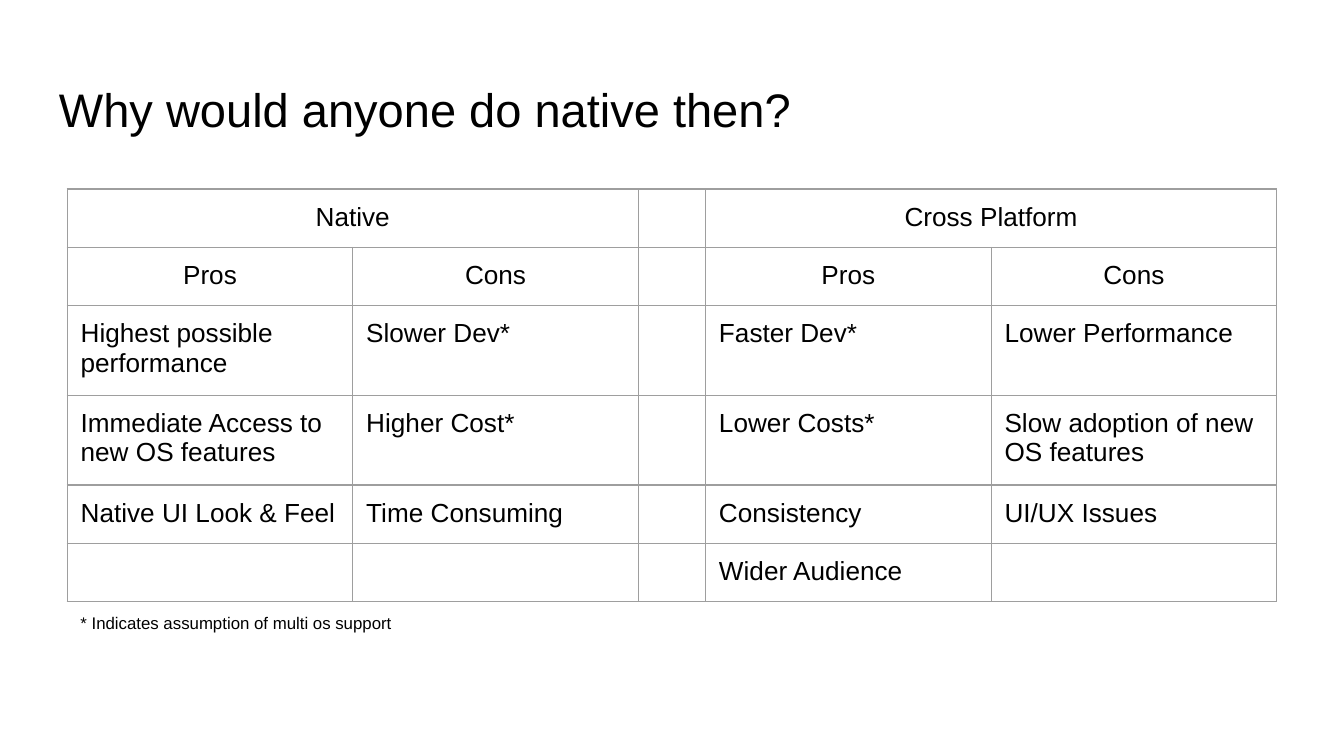
from lxml import etree
from pptx import Presentation
from pptx.dml.color import RGBColor
from pptx.enum import text
from pptx.oxml.ns import qn
from pptx.util import Pt

TITLE = "Why would anyone do native then?"
FOOTNOTE = "* Indicates assumption of multi os support"
ROWS = [
    ["Native", "", "", "Cross Platform", ""],
    ["Pros", "Cons", "", "Pros", "Cons"],
    ["Highest possible performance", "Slower Dev*", "", "Faster Dev*", "Lower Performance"],
    ["Immediate Access to new OS features", "Higher Cost*", "", "Lower Costs*",
     "Slow adoption of new OS features"],
    ["Native UI Look & Feel", "Time Consuming", "", "Consistency", "UI/UX Issues"],
    ["", "", "", "Wider Audience", ""],
]
HEADER_ROWS = 2
GROUP_STARTS = (0, 3)
COLUMN_WIDTHS = [153, 153, 36, 153, 153]
ROW_HEIGHTS = [31.2, 31.2, 48, 46, 31.2, 31.2]
TABLE_LEFT, TABLE_TOP = 36, 101.3
INSET = 7.2
FONT = "Arial"
CELL_SIZE = 14
COLORS = {"text": "000000", "border": "9E9E9E"}


def set_margins(target):
    for side in ("left", "right", "top", "bottom"):
        setattr(target, "margin_" + side, Pt(INSET))


def write(paragraph, content, size):
    paragraph.text = content
    paragraph.font.name = FONT
    paragraph.font.size = Pt(size)
    paragraph.font.color.rgb = RGBColor.from_string(COLORS["text"])


def add_text(slide, content, size, left, top, width, height, anchor):
    frame = slide.shapes.add_textbox(Pt(left), Pt(top), Pt(width), Pt(height)).text_frame
    frame.word_wrap = True
    frame.vertical_anchor = anchor
    set_margins(frame)
    write(frame.paragraphs[0], content, size)


def set_borders(cell):
    properties = cell._tc.get_or_add_tcPr()
    for index, side in enumerate(("lnL", "lnR", "lnT", "lnB")):
        line = etree.Element(qn("a:" + side), w=str(Pt(0.75)))
        fill = etree.SubElement(line, qn("a:solidFill"))
        etree.SubElement(fill, qn("a:srgbClr"), val=COLORS["border"])
        properties.insert(index, line)


def fill_cell(cell, content, centered):
    set_margins(cell)
    cell.fill.background()
    set_borders(cell)
    paragraph = cell.text_frame.paragraphs[0]
    write(paragraph, content, CELL_SIZE)
    if centered:
        paragraph.alignment = text.PP_ALIGN.CENTER
    if not content:  # an empty cell takes its line height from the end mark
        etree.SubElement(paragraph._p, qn("a:endParaRPr"), sz=str(CELL_SIZE * 100))


def add_comparison(slide):
    table = slide.shapes.add_table(
        len(ROWS), len(COLUMN_WIDTHS), Pt(TABLE_LEFT), Pt(TABLE_TOP),
        Pt(sum(COLUMN_WIDTHS)), Pt(sum(ROW_HEIGHTS))).table
    table.first_row = table.horz_banding = False
    for column, width in zip(table.columns, COLUMN_WIDTHS):
        column.width = Pt(width)
    for row, height in zip(table.rows, ROW_HEIGHTS):
        row.height = Pt(height)
    for r, contents in enumerate(ROWS):
        for c, content in enumerate(contents):
            fill_cell(table.cell(r, c), content, r < HEADER_ROWS)
    for start in GROUP_STARTS:
        table.cell(0, start).merge(table.cell(0, start + 1))


presentation = Presentation()
presentation.slide_width, presentation.slide_height = Pt(720), Pt(405)
slide = presentation.slides.add_slide(presentation.slide_layouts[6])
add_text(slide, TITLE, 25.2, 24.5, 35.3, 671, 45.4, text.MSO_ANCHOR.MIDDLE)
add_comparison(slide)
add_text(slide, FOOTNOTE, 9, TABLE_LEFT, 322.6, 221.8, 25.2, text.MSO_ANCHOR.TOP)
presentation.save("out.pptx")
